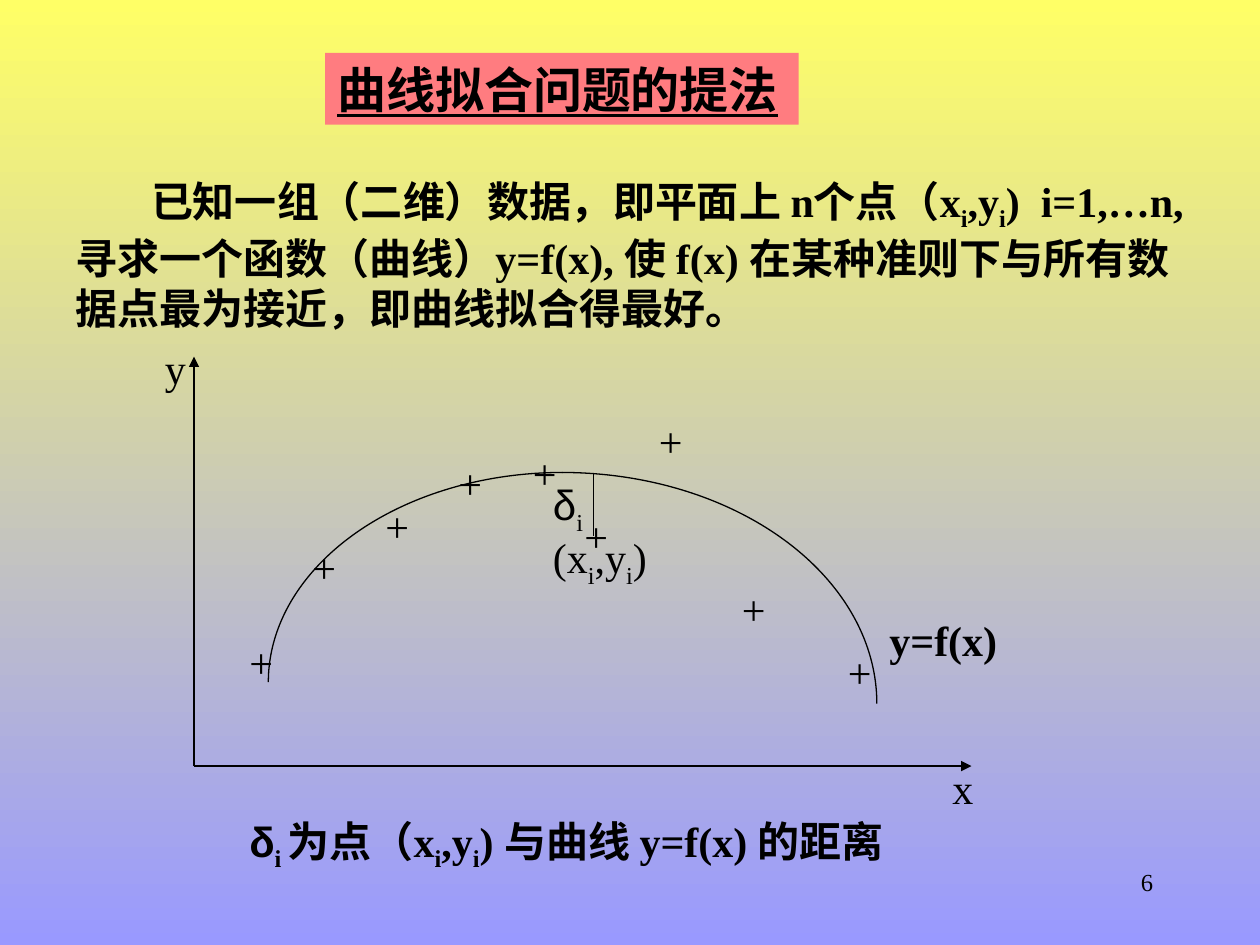
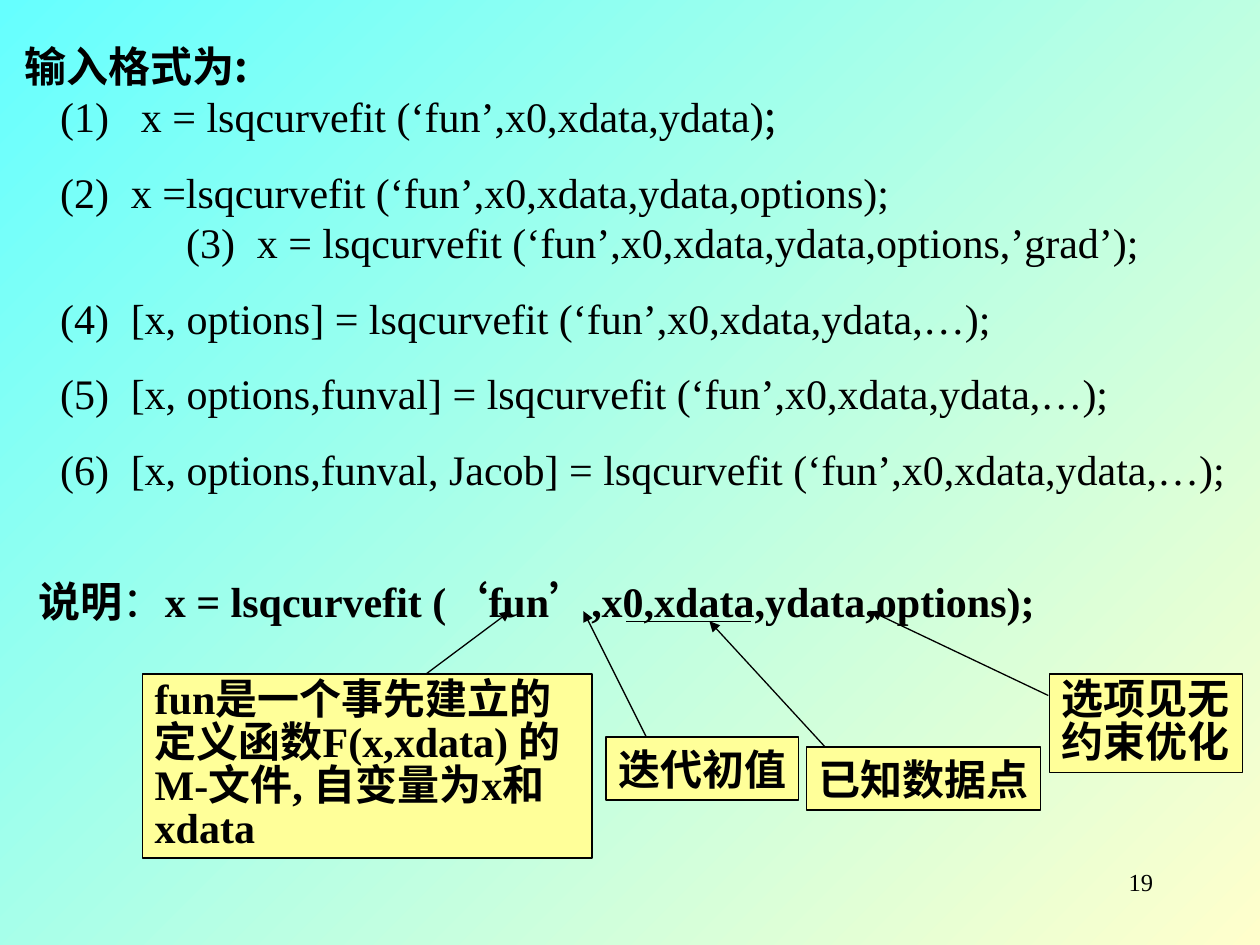
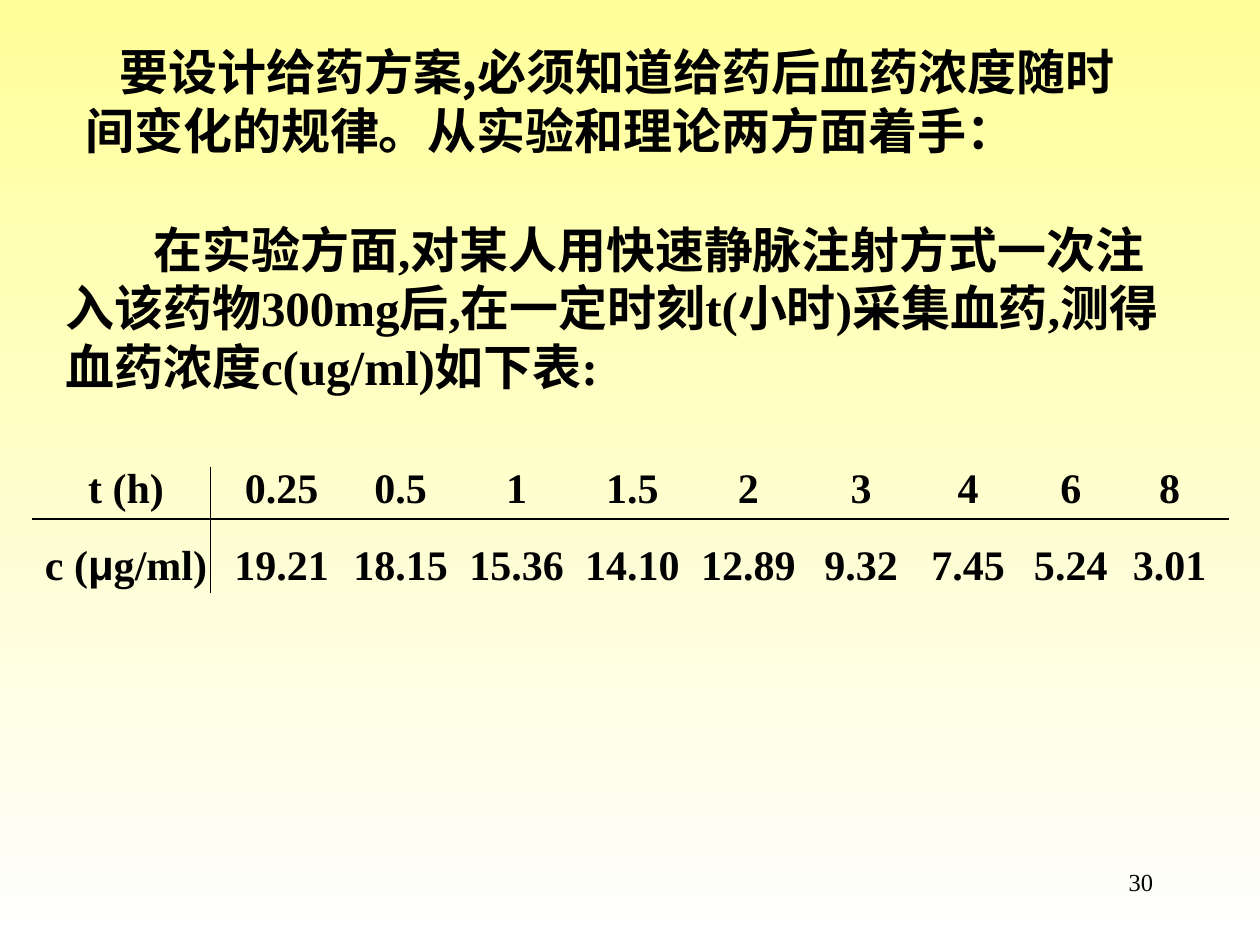
from lxml import etree
from pptx import Presentation
from pptx.dml.color import RGBColor
from pptx.enum.shapes import MSO_CONNECTOR as CONNECTOR, MSO_SHAPE as SHAPE
from pptx.enum.text import MSO_ANCHOR as ANCHOR, PP_ALIGN as ALIGN
from pptx.oxml.ns import qn
from pptx.util import Inches, Pt

SERIF, SANS, CJK = "Times New Roman", "Arial", "Noto Sans CJK SC"
BLACK, NOTE_FILL, TITLE_FILL = "000000", "FFFF99", "FF7C80"
PLAIN_TABLE = "{2D5ABB26-0587-4C30-8999-92F81FD0307C}"
SUB_I = ("i", {"sub": True})
# number, gradient from and to, counter-clockwise angle
PAGES = [
    ("6", "FFFF66", "9999FF", 270),
    ("19", "FFFFCC", "66FFFF", 135),
    ("30", "FFFF99", "FEFEFE", 270),
]


def add_text(page, at, lines, size=24, bold=False, font=SERIF, align=ALIGN.LEFT,
             indent=0, fill=None, border=False, wrap=True, spacing=None, underline=None):
    """Add a text box, or a filled rectangle; each line lists strings or (string, options)."""
    place = [Inches(value) for value in at]
    if fill:
        box = page.shapes.add_shape(SHAPE.RECTANGLE, *place)
        box.shadow.inherit = False
        box.fill.solid()
        box.fill.fore_color.rgb = RGBColor.from_string(fill)
        if border:
            box.line.color.rgb = RGBColor.from_string(BLACK)
            box.line.width = Pt(0.75)
        else:
            box.line.fill.background()
    else:
        box = page.shapes.add_textbox(*place)
    frame = box.text_frame
    frame.word_wrap = wrap
    frame.vertical_anchor = ANCHOR.TOP
    for number, line in enumerate(lines):
        para = frame.add_paragraph() if number else frame.paragraphs[0]
        para.alignment = align
        para.line_spacing = spacing
        if indent:
            para._p.get_or_add_pPr().set("indent", str(Inches(indent)))
        for piece in line:
            text, options = (piece, {}) if isinstance(piece, str) else piece
            span = para.add_run()
            span.text = text
            span.font.size = Pt(size)
            span.font.bold = options.get("bold", bold)
            span.font.underline = underline
            span.font.color.rgb = RGBColor.from_string(BLACK)
            span.font.name = options.get("font", font)
            props = span._r.get_or_add_rPr()
            etree.SubElement(props, qn("a:ea")).set("typeface", CJK)
            if options.get("sub"):
                props.set("baseline", "-25000")
    return box


def add_line(page, start, end, arrow=False):
    points = [Inches(value) for value in (*start, *end)]
    line = page.shapes.add_connector(CONNECTOR.STRAIGHT, *points)
    line.line.color.rgb = RGBColor.from_string(BLACK)
    line.line.width = Pt(0.75)
    if arrow:
        etree.SubElement(line.line._get_or_add_ln(), qn("a:tailEnd")).set("type", "triangle")
    etree.SubElement(line._element.spPr, qn("a:effectLst"))


deck = Presentation()
deck.slide_width, deck.slide_height = Inches(10), Inches(7.5)

pages = []
for number, start, end, angle in PAGES:
    page = deck.slides.add_slide(deck.slide_layouts[6])
    backdrop = page.background.fill
    backdrop.gradient()
    backdrop.gradient_angle = angle
    for stop, color in zip(backdrop.gradient_stops, (start, end)):
        stop.color.rgb = RGBColor.from_string(color)
    add_text(page, (7.17, 6.83, 2.08, 0.5), [[number]], size=14, align=ALIGN.RIGHT)
    pages.append(page)
fitting, syntax, dosing = pages

# Slide 1: the curve fitting problem
add_text(fitting, (2.58, 0.42, 3.76, 0.57), [["曲线拟合问题的提法"]], size=28, bold=True,
         font=CJK, fill=TITLE_FILL, underline=True)
add_text(fitting, (0.5, 1.34, 9.15, 1.36), [[
    "已知一组（二维）数据，即平面上 n个点（x", SUB_I, ",y", SUB_I,
    ")  i=1,…n, 寻求一个函数（曲线）y=f(x), 使 f(x) 在某种准则下与所有数据点最为接近，"
    "即曲线拟合得最好。"]], bold=True, indent=0.6)

DATA_POINTS = [(1.88, 5), (2.38, 4.25), (2.96, 3.92), (3.54, 3.58), (4.13, 3.5),
               (4.54, 4), (5.13, 3.25), (5.79, 4.58), (6.63, 5.08)]
for left, top in DATA_POINTS:
    add_text(fitting, (left, top, 0.58, 0.5), [["+"]])

origin = (1.54, 6.08)
add_line(fitting, origin, (7.71, 6.08), arrow=True)
add_line(fitting, origin, (1.54, 2.83), arrow=True)
add_text(fitting, (7.46, 6, 0.67, 0.5), [["x"]])
add_text(fitting, (1.21, 2.67, 0.5, 0.5), [["y"]])

# Each half of the curve is a quarter of an ellipse; angles count in units of 5/3 degree
for at, angles in [((2.13, 3.75, 4.67, 3.33), (108, 162)), ((1.96, 3.75, 5, 3.67), (162, 0))]:
    curve = fitting.shapes.add_shape(SHAPE.ARC, *[Inches(value) for value in at])
    curve.adjustments[0], curve.adjustments[1] = angles
    curve.shadow.inherit = False
    curve.fill.background()
    curve.line.color.rgb = RGBColor.from_string(BLACK)
    curve.line.width = Pt(0.75)

delta = ("δ", {"font": SANS})
add_text(fitting, (6.96, 4.83, 1.58, 0.5), [["y=f(x)"]], bold=True)
add_text(fitting, (4.29, 4.17, 1, 0.56), [["(x", SUB_I, ",y", SUB_I, ")"]])
add_line(fitting, (4.71, 4.25), (4.71, 3.75))
add_text(fitting, (4.29, 3.75, 0.58, 0.56), [[delta, SUB_I]])
add_text(fitting, (1.88, 6.42, 5.42, 0.96), [[
    delta, ("i ", {"sub": True}), "为点（x", SUB_I, ",y", SUB_I,
    ") 与曲线 y=f(x) 的距离"]], bold=True)

# Slide 2: call forms, each with its code's left edge, its hang and its line spacing
CALLS = [
    (["x = lsqcurvefit (‘fun’,x0,xdata,ydata)", (";", {"font": CJK})], 1.14, 0.64, 1),
    (["x =lsqcurvefit (‘fun’,x0,xdata,ydata,options);"], 1.06, 0.56, 1.5),
    (["x = lsqcurvefit (‘fun’,x0,xdata,ydata,options,’grad’);"], 2.06, 0.56, 1),
    (["[x, options] = lsqcurvefit (‘fun’,x0,xdata,ydata,…);"], 1.06, 0.56, 1.5),
    (["[x, options,funval] = lsqcurvefit (‘fun’,x0,xdata,ydata,…);"], 1.06, 0.56, 1.5),
    (["[x, options,funval, Jacob] = lsqcurvefit (‘fun’,x0,xdata,ydata,…);"], 1.06, 0.56, 1.5),
]
lines = [[("输入格式为:", {"bold": True, "font": CJK})]]
lines += [[f"({number})\t", *call[0]] for number, call in enumerate(CALLS, 1)]
forms = add_text(syntax, (-0.12, 0.27, 10, 3.7), lines, indent=0.22)
for para, (_, margin, hang, spacing) in zip(forms.text_frame.paragraphs[1:], CALLS):
    para.line_spacing = spacing
    props = para._p.get_or_add_pPr()
    props.set("marL", str(Inches(margin)))
    props.set("indent", str(Inches(-hang)))

add_text(syntax, (0.01, 4.52, 8.5, 0.5), [[
    "说明", ("：", {"bold": False}), "x = lsqcurvefit (‘fun’,x0,xdata,ydata,options);"]],
    bold=True, align=ALIGN.CENTER, wrap=False)
add_line(syntax, (4.97, 4.93), (5.96, 4.93))

# box, lines, wrapped, line spacing, arrow start, arrow end
NOTES = [
    ((1.13, 5.35, 3.57, 1.46), ["fun是一个事先建立的定义函数F(x,xdata) 的M-文件, 自变量为x和xdata"],
     True, 0.85, (3.38, 5.35), (4.05, 4.85)),
    ((4.81, 5.85, 1.53, 0.5), ["迭代初值"], False, None, (5.13, 5.85), (4.63, 4.85)),
    ((6.4, 5.93, 1.86, 0.5), ["已知数据点"], False, None, (6.55, 5.93), (5.63, 4.93)),
    ((8.33, 5.35, 1.53, 0.78), ["选项见无", "约束优化"], False, 0.85, (8.32, 5.52), (6.91, 4.85)),
]
for at, texts, wrap, spacing, start, end in NOTES:
    add_text(syntax, at, [[text] for text in texts], bold=True, fill=NOTE_FILL,
             border=True, wrap=wrap, spacing=spacing)
    add_line(syntax, start, end, arrow=True)

# Slide 3: measured drug concentration
add_text(dosing, (0.58, 0.28, 8.67, 1.04),
         [["要设计给药方案,必须知道给药后血药浓度随时间变化的规律。从实验和理论两方面着手："]],
         size=28, bold=True, font=CJK, indent=0.27)
add_text(dosing, (0.42, 1.69, 8.92, 1.5),
         [["在实验方面,对某人用快速静脉注射方式一次注入该药物300mg后,在一定时刻t(小时)采集血药,"
           "测得血药浓度c(ug/ml)如下表:"]], size=28, bold=True, indent=0.7)

ROWS = [
    ["t (h)", "0.25", "0.5", "1", "1.5", "2", "3", "4", "6", "8"],
    ["c (μg/ml)", "19.21", "18.15", "15.36", "14.10", "12.89", "9.32", "7.45", "5.24", "3.01"],
]
WIDTHS = [1.5, 0.97, 0.92, 0.92, 0.92, 0.92, 0.87, 0.83, 0.8, 0.77]
HEIGHTS = [0.5, 0.61]
table = dosing.shapes.add_table(len(HEIGHTS), len(WIDTHS), Inches(0.25), Inches(3.62),
                                Inches(sum(WIDTHS)), Inches(sum(HEIGHTS))).table
table.first_row = table.horz_banding = False
table._tbl.tblPr.find(qn("a:tableStyleId")).text = PLAIN_TABLE
for column, width in zip(table.columns, WIDTHS):
    column.width = Inches(width)
for row, height, values in zip(table.rows, HEIGHTS, ROWS):
    row.height = Inches(height)
    for cell, value in zip(row.cells, values):
        cell.margin_left = cell.margin_right = cell.margin_top = 0
        cell.margin_bottom = Inches(0.05)
        cell.vertical_anchor = ANCHOR.BOTTOM
        cell.fill.background()
        para = cell.text_frame.paragraphs[0]
        para.alignment = ALIGN.CENTER
        before, symbol, after = value.partition("μ")
        for text, name in ((before, SERIF), (symbol, SANS), (after, SERIF)):
            if text:
                span = para.add_run()
                span.text = text
                span.font.name, span.font.size, span.font.bold = name, Pt(24), True
                span.font.color.rgb = RGBColor.from_string(BLACK)
add_line(dosing, (0.25, 4.12), (9.75, 4.12))
add_line(dosing, (1.67, 3.71), (1.67, 4.71))

deck.save("out.pptx")
